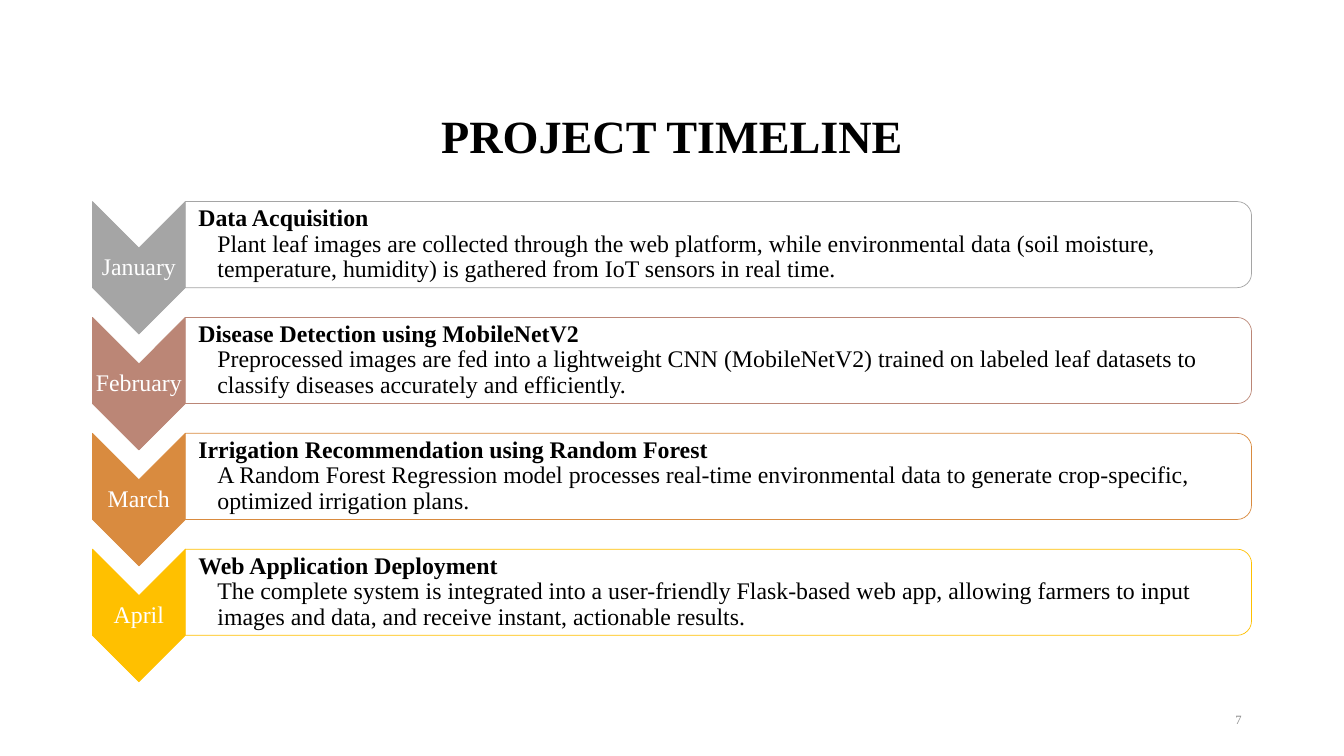
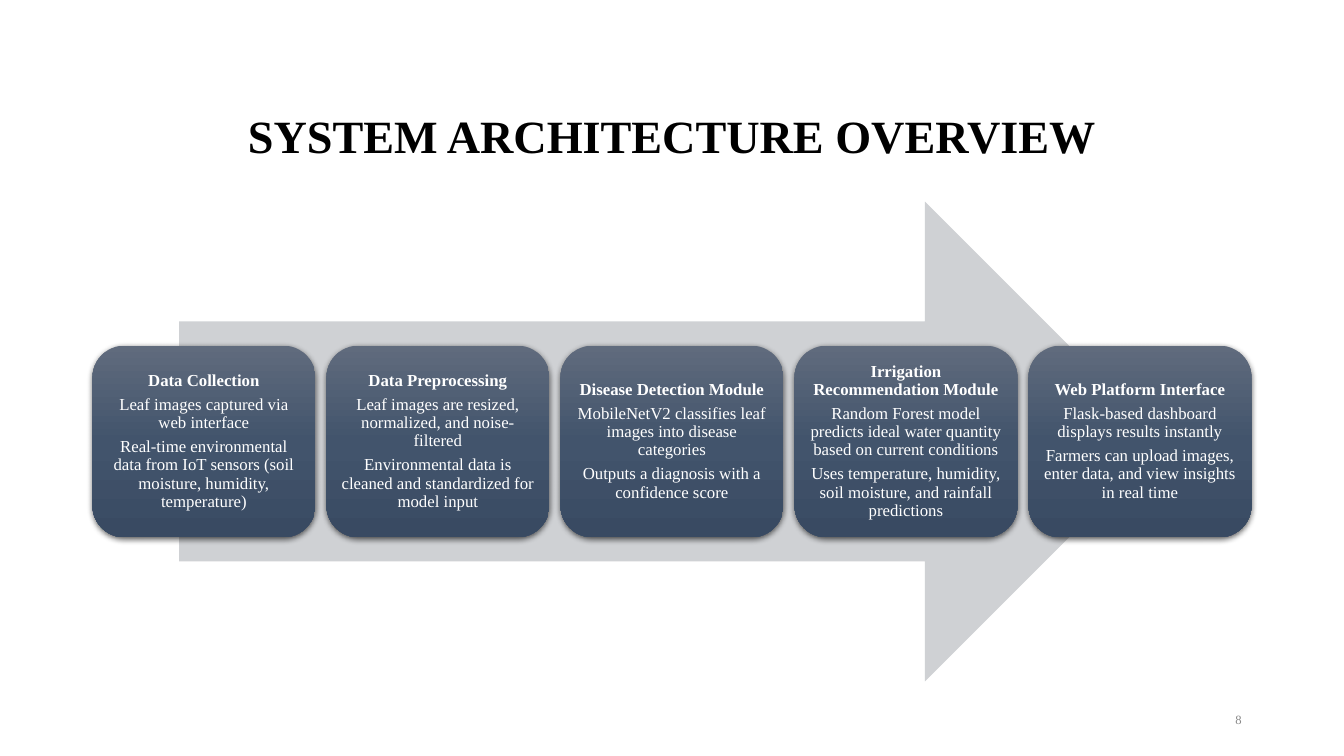
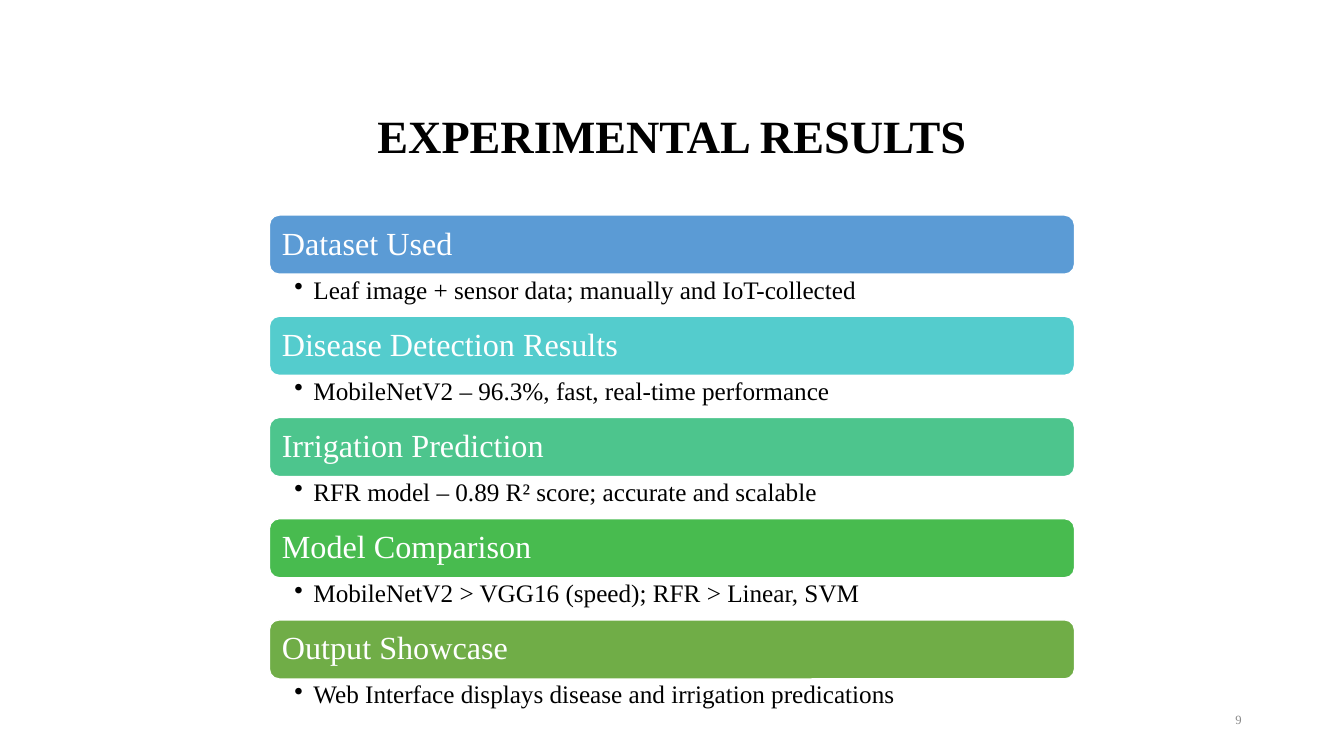
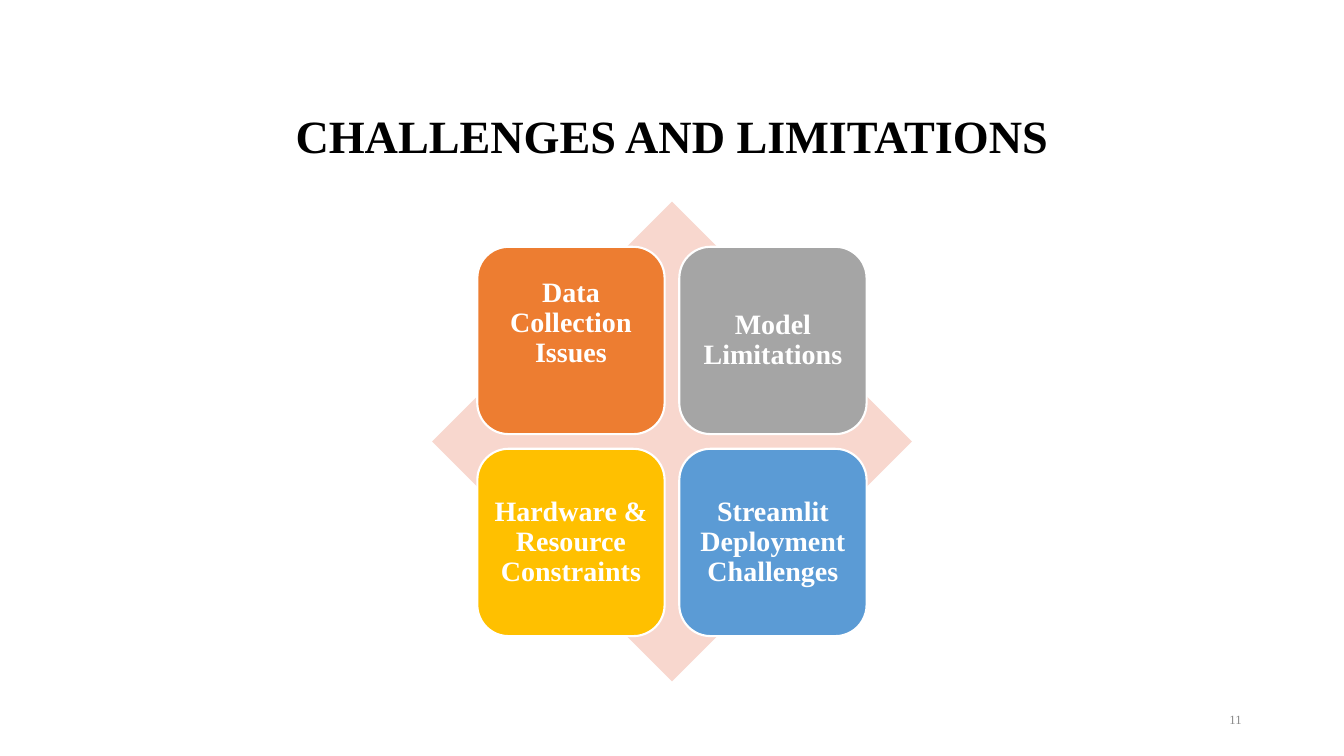
from dataclasses import dataclass

from pptx import Presentation
from pptx.dml.color import RGBColor
from pptx.enum.shapes import MSO_SHAPE
from pptx.enum.text import MSO_ANCHOR, PP_ALIGN
from pptx.oxml import parse_xml
from pptx.oxml.ns import nsdecls, qn
from pptx.util import Cm, Pt


@dataclass(frozen=True)
class Theme:
    """Colours, type sizes and shared positions of the deck."""

    font: str = "Times New Roman"
    black: str = "000000"
    white: str = "FFFFFF"
    number: str = "898989"
    gray: str = "A5A5A5"
    gold: str = "FFC000"
    blue: str = "5B9BD5"
    orange: str = "ED7D31"
    arrow: str = "CFD1D4"
    diamond: str = "F8D7CE"
    months: tuple = ("A5A5A5", "BB8676", "D98B3F", "FFC000")
    results: tuple = ("5B9BD5", "54CCCD", "4DC58D", "48BB4F", "70AD47")
    module_gradient: tuple = ((0, "606B7D"), (50, "42546C"), (100, "394A62"))
    title_size: float = 33
    heading_size: float = 23
    card_size: float = 20
    bullet_size: float = 18
    timeline_size: float = 17
    module_size: float = 12
    number_size: float = 9
    slide_width: float = 33.87
    slide_height: float = 19.05
    left: float = 2.33
    top: float = 5.08
    width: float = 29.21
    height: float = 12.09


THEME = Theme()

STAGES = [
    ("January", "Data Acquisition\vPlant leaf images are collected through the web platform, "
     "while environmental data (soil moisture, temperature, humidity) is gathered from IoT "
     "sensors in real time."),
    ("February", "Disease Detection using MobileNetV2\vPreprocessed images are fed into a "
     "lightweight CNN (MobileNetV2) trained on labeled leaf datasets to classify diseases "
     "accurately and efficiently."),
    ("March", "Irrigation Recommendation using Random Forest\vA Random Forest Regression model "
     "processes real-time environmental data to generate crop-specific, optimized irrigation "
     "plans."),
    ("April", "Web Application Deployment\vThe complete system is integrated into a "
     "user-friendly Flask-based web app, allowing farmers to input images and data, and "
     "receive instant, actionable results."),
]

MODULES = [
    "Data Collection\nLeaf images captured via web interface\n"
    "Real-time environmental data from IoT sensors (soil moisture, humidity, temperature)",
    "Data Preprocessing\nLeaf images are resized, normalized, and noise-filtered\n"
    "Environmental data is cleaned and standardized for model input",
    "Disease Detection Module\nMobileNetV2 classifies leaf images into disease categories\n"
    "Outputs a diagnosis with a confidence score",
    "Irrigation Recommendation Module\n"
    "Random Forest model predicts ideal water quantity based on current conditions\n"
    "Uses temperature, humidity, soil moisture, and rainfall predictions",
    "Web Platform Interface\nFlask-based dashboard displays results instantly\n"
    "Farmers can upload images, enter data, and view insights in real time",
]

RESULTS = [
    ("Dataset Used", "Leaf image + sensor data; manually and IoT-collected"),
    ("Disease Detection Results", "MobileNetV2 – 96.3%, fast, real-time performance"),
    ("Irrigation Prediction", "RFR model – 0.89 R² score; accurate and scalable"),
    ("Model Comparison", "MobileNetV2 > VGG16 (speed); RFR > Linear, SVM"),
    ("Output Showcase", "Web Interface displays disease and irrigation predications"),
]

CHALLENGES = [
    ("Data Collection Issues", THEME.orange, 1.06),
    ("Model Limitations", THEME.gray, 0.2),
    ("Hardware & Resource Constraints", THEME.gold, 0.2),
    ("Streamlit Deployment Challenges", THEME.blue, 0.2),
]


def write(frame, text, size, color=THEME.black, bold=False, bold_lead=False,
          align=PP_ALIGN.LEFT, anchor=MSO_ANCHOR.MIDDLE, margins=(0.25, 0.13, 0.25, 0.13),
          space_after=0, hanging=0, bullet=None):
    """Fill a text frame; a newline starts a paragraph and a vertical tab breaks a line."""
    frame.word_wrap = True
    frame.vertical_anchor = anchor
    frame.margin_left, frame.margin_top, frame.margin_right, frame.margin_bottom = map(Cm, margins)
    for row, content in enumerate(text.split("\n")):
        paragraph = frame.add_paragraph() if row else frame.paragraphs[0]
        paragraph.alignment = align
        paragraph.line_spacing = 0.9
        paragraph.space_before = Pt(0)
        paragraph.space_after = Pt(space_after)
        if hanging:
            properties = paragraph._p.get_or_add_pPr()
            properties.set("marL", str(Cm(hanging)))
            properties.set("indent", str(-Cm(hanging)))
            if bullet:
                properties.append(parse_xml(f'<a:buChar {nsdecls("a")} char="{bullet}"/>'))
        for part, words in enumerate(content.split("\v")):
            if part:
                paragraph.add_line_break()
            run = paragraph.add_run()
            run.text = words
            run.font.name = THEME.font
            run.font.size = Pt(size)
            run.font.color.rgb = RGBColor.from_string(color)
            run.font.bold = bold or (bold_lead and row == part == 0)


def add_text(slide, box, text, size, **options):
    """Add a text box at a box given in centimetres."""
    shape = slide.shapes.add_textbox(*map(Cm, box))
    write(shape.text_frame, text, size, **options)


def add_block(slide, kind, box, fill=None, line=None, line_width=1):
    """Add a flat preset shape without shadow."""
    shape = slide.shapes.add_shape(kind, *map(Cm, box))
    shape.shadow.inherit = False
    if fill:
        shape.fill.solid()
        shape.fill.fore_color.rgb = RGBColor.from_string(fill)
    if line:
        shape.line.color.rgb = RGBColor.from_string(line)
        shape.line.width = Pt(line_width)
    else:
        shape.line.fill.background()
    return shape


def add_turned_block(slide, kind, box, **options):
    """Add a shape turned by a quarter so that it covers the given box."""
    left, top, width, height = box
    shift = (width - height) / 2
    shape = add_block(slide, kind, (left + shift, top - shift, height, width), **options)
    shape.rotation = 90


def add_depth(shape):
    """Give a shape the module gradient and a soft shadow."""
    stops = "".join(
        f'<a:gs pos="{position * 1000}"><a:srgbClr val="{color}"/></a:gs>'
        for position, color in THEME.module_gradient)
    properties = shape._element.spPr
    properties.find(qn("a:prstGeom")).addnext(parse_xml(
        f'<a:gradFill {nsdecls("a")} rotWithShape="1"><a:gsLst>{stops}</a:gsLst>'
        '<a:lin ang="5400000" scaled="0"/></a:gradFill>'))
    properties.find(qn("a:effectLst")).append(parse_xml(
        f'<a:outerShdw {nsdecls("a")} blurRad="{Pt(4.5)}" dist="{Pt(1.5)}" dir="5400000" '
        'algn="ctr" rotWithShape="0"><a:srgbClr val="000000"><a:alpha val="63000"/>'
        '</a:srgbClr></a:outerShdw>'))


def add_slide(presentation, title, number):
    """Add a slide with its title and page number."""
    slide = presentation.slides.add_slide(presentation.slide_layouts[5])
    heading = slide.shapes.title
    heading.left, heading.top = Cm(THEME.left), Cm(2.27)
    heading.width, heading.height = Cm(THEME.width), Cm(2.43)
    write(heading.text_frame, title, THEME.title_size, bold=True, align=PP_ALIGN.CENTER)
    add_text(slide, (23.92, 17.66, 7.62, 1.01), str(number), THEME.number_size,
             color=THEME.number, align=PP_ALIGN.RIGHT)
    return slide


def build_timeline(presentation):
    """Build the monthly timeline."""
    slide = add_slide(presentation, "PROJECT TIMELINE", 7)
    chevron_width, chevron_height, pitch = 2.34, 3.34, 2.92
    card_left = THEME.left + chevron_width
    card_width = THEME.width - chevron_width
    for index, ((month, text), color) in enumerate(zip(STAGES, THEME.months)):
        top = THEME.top + index * pitch
        add_turned_block(slide, MSO_SHAPE.CHEVRON,
                         (THEME.left, top, chevron_width, chevron_height),
                         fill=color, line=color, line_width=0.5)
        add_text(slide, (THEME.left, top + 1.17, chevron_width, 1), month, THEME.timeline_size,
                 color=THEME.white, align=PP_ALIGN.CENTER, margins=(0.03,) * 4)
        add_turned_block(slide, MSO_SHAPE.ROUND_2_SAME_RECTANGLE,
                         (card_left, top, card_width, 2.17),
                         fill=THEME.white, line=color, line_width=0.5)
        add_text(slide, (card_left, top + 0.1, card_width - 0.1, 1.96), text,
                 THEME.timeline_size, bold_lead=True, hanging=0.48,
                 margins=(0.33, 0.03, 0.03, 0.03))


def build_architecture(presentation):
    """Build the module row on its arrow."""
    slide = add_slide(presentation, "SYSTEM ARCHITECTURE OVERVIEW", 8)
    arrow_width = 24.84
    add_block(slide, MSO_SHAPE.RIGHT_ARROW,
              ((THEME.slide_width - arrow_width) / 2, THEME.top, arrow_width, THEME.height),
              fill=THEME.arrow)
    width, height = 5.62, 4.83
    pitch = (THEME.width - width) / (len(MODULES) - 1)
    top = THEME.top + (THEME.height - height) / 2
    for index, text in enumerate(MODULES):
        module = add_block(slide, MSO_SHAPE.ROUNDED_RECTANGLE,
                           (THEME.left + index * pitch, top, width, height))
        add_depth(module)
        write(module.text_frame, text, THEME.module_size, color=THEME.white, bold_lead=True,
              align=PP_ALIGN.CENTER, margins=(0.12,) * 4, space_after=4.2)


def build_results(presentation):
    """Build the headed list of results."""
    slide = add_slide(presentation, "EXPERIMENTAL RESULTS", 9)
    left, first_top, width, height, pitch = 6.79, 5.42, 20.29, 1.49, 2.55
    for index, ((heading, detail), color) in enumerate(zip(RESULTS, THEME.results)):
        top = first_top + index * pitch
        bar = add_block(slide, MSO_SHAPE.ROUNDED_RECTANGLE, (left, top, width, height),
                        fill=color, line=THEME.white)
        write(bar.text_frame, heading, THEME.heading_size, color=THEME.white,
              margins=(0.24,) * 4)
        add_text(slide, (left, top + height, width, 1.06), detail, THEME.bullet_size,
                 anchor=MSO_ANCHOR.TOP, margins=(0.63, 0.08, 0.45, 0.08),
                 hanging=0.48, bullet="•")


def build_challenges(presentation):
    """Build the four challenge cards on their diamond."""
    slide = add_slide(presentation, "CHALLENGES AND LIMITATIONS", 11)
    add_block(slide, MSO_SHAPE.DIAMOND,
              ((THEME.slide_width - THEME.height) / 2, THEME.top, THEME.height, THEME.height),
              fill=THEME.diamond)
    side, pitch = 4.72, 5.09
    left = (THEME.slide_width - side - pitch) / 2
    top = THEME.top + (THEME.height - side - pitch) / 2
    for index, (text, color, bottom_margin) in enumerate(CHALLENGES):
        row, column = divmod(index, 2)
        card = add_block(slide, MSO_SHAPE.ROUNDED_RECTANGLE,
                         (left + column * pitch, top + row * pitch, side, side),
                         fill=color, line=THEME.white, line_width=1.5)
        write(card.text_frame, text, THEME.card_size, color=THEME.white, bold=True,
              align=PP_ALIGN.CENTER, margins=(0.2, 0.2, 0.2, bottom_margin))


def main():
    """Build and save the presentation."""
    presentation = Presentation()
    presentation.slide_width = Cm(THEME.slide_width)
    presentation.slide_height = Cm(THEME.slide_height)
    build_timeline(presentation)
    build_architecture(presentation)
    build_results(presentation)
    build_challenges(presentation)
    presentation.save("out.pptx")


if __name__ == "__main__":
    main()
